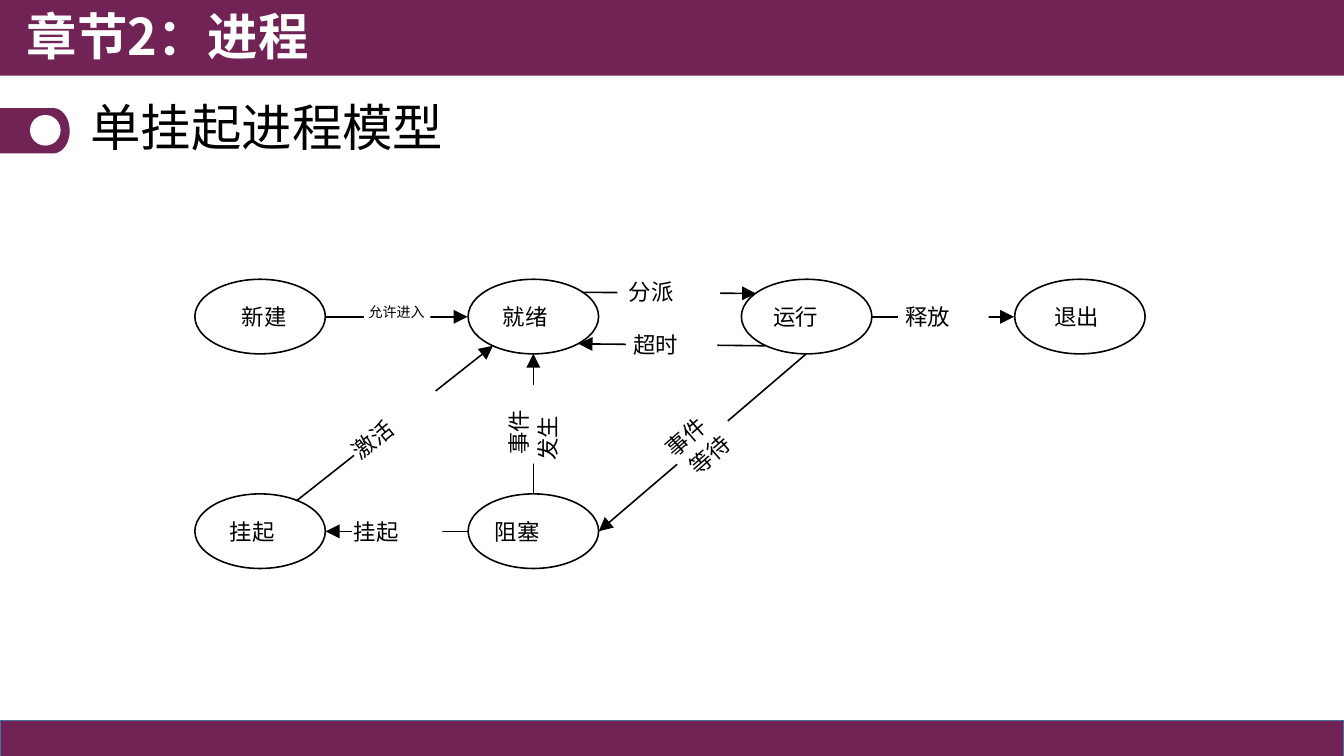
import math

import pptx
import pptx.dml.color
import pptx.enum.shapes
import pptx.enum.text
import pptx.oxml
import pptx.oxml.ns
import pptx.util

Pt = pptx.util.Pt
RGBColor = pptx.dml.color.RGBColor
SHAPE = pptx.enum.shapes.MSO_SHAPE
ANCHOR = pptx.enum.text.MSO_ANCHOR

PLUM = RGBColor(0x71, 0x23, 0x55)
BLUE = RGBColor(0x43, 0x73, 0x9E)
WHITE = RGBColor(0xFF, 0xFF, 0xFF)
BLACK = RGBColor(0, 0, 0)
FONT = "Noto Sans CJK SC"
LINE_WIDTH = 1.13

STATE_W, STATE_H = 93.2, 53.3
STATE_LEFT, STATE_STEP = 139.2, 195.2
ROW_TOPS = (199.5, 352.8)

# column, row, name, label centre
STATES = [
    (0, 0, "新建", 190.8),
    (1, 0, "就绪", 377.3),
    (2, 0, "运行", 570.2),
    (3, 0, "退出", 771.1),
    (0, 1, "挂起", 182.2),
    (1, 1, "阻塞", 371.5),
]

# arrow ends; gap centre, size, rotation; labels with centre and rotation
TRANSITIONS = [
    ((232.5, 226.3, 334, 226.3), (283.7, 226.1, 47.5, 23, 0),
     [("允许进入", 285.4, 223.9, 0, 10)]),
    ((415.4, 208.8, 540, 209.6), (477.7, 208.8, 73.5, 23, 0.8),
     [("分派", 467.3, 209.5, 0, 16)]),
    ((546.5, 247, 413.3, 245.6), (479.9, 245.9, 65.2, 23, 0.8),
     [("超时", 470.2, 247, 0, 16)]),
    ((576, 252.7, 427.7, 379.5), (501.8, 316.1, 47.5, 44.4, 319.3),
     [("事件", 491.8, 311.8, 319, 16), ("等待", 509, 324.7, 319, 16)]),
    ((381, 352.8, 381, 252.7), (380.5, 303.1, 43.9, 56.2, 0),
     [("事件", 371.5, 306.7, 270, 16), ("发生", 392.4, 311, 270, 16)]),
    ((622.8, 226.3, 724.3, 226.3), (673.9, 226.1, 64.8, 23, 0),
     [("释放", 664.6, 227.5, 0, 16)]),
    ((334, 379.6, 232.6, 379.6), (283.7, 379.4, 64.8, 23, 0),
     [("挂起", 270.7, 380.9, 0, 16)]),
    ((211.7, 357.8, 352.1, 247), (281.9, 302, 74, 23.3, 322),
     [("激活", 268.6, 313.9, 321, 16)]),
]


def paint(s, fill, line=None, width=LINE_WIDTH):
    s.shadow.inherit = False
    s.fill.solid()
    s.fill.fore_color.rgb = fill
    if line is None:
        s.line.fill.background()
    else:
        s.line.color.rgb = line
        s.line.width = Pt(width)


def add_block(slide, kind, x, y, w, h, fill, line=None, width=LINE_WIDTH):
    s = slide.shapes.add_shape(kind, Pt(x), Pt(y), Pt(w), Pt(h))
    paint(s, fill, line, width)
    return s


def add_text(slide, text, x, y, w, h, frame=None, **font):
    s = slide.shapes.add_textbox(Pt(x), Pt(y), Pt(w), Pt(h))
    tf = s.text_frame
    for name, value in {"word_wrap": True, **(frame or {})}.items():
        setattr(tf, name, value)
    p = tf.paragraphs[0]
    r = p.add_run()
    r.text = text
    color = font.pop("color", BLACK)
    for name, value in {"name": FONT, **font}.items():
        setattr(r.font, name, value)
    r.font.color.rgb = color
    ea = pptx.oxml.parse_xml(
        f'<a:ea {pptx.oxml.ns.nsdecls("a")} typeface="{FONT}"/>')
    r.font._element.append(ea)
    return s


def add_label(slide, text, cx, cy, rotation=0, size=16):
    w, h = len(text) * size + 4, size * 1.35
    margins = ("margin_left", "margin_top", "margin_right", "margin_bottom")
    s = add_text(slide, text, cx - w / 2, cy - h / 2, w, h,
                 dict.fromkeys(margins, 0), size=Pt(size))
    s.rotation = rotation


def add_state(slide, column, row, name, label_x):
    top = ROW_TOPS[row]
    add_block(slide, SHAPE.OVAL, STATE_LEFT + column * STATE_STEP, top,
              STATE_W, STATE_H, WHITE, BLACK)
    add_label(slide, name, label_x, top + STATE_H / 2 + 1.3)


def add_arrow(slide, x1, y1, x2, y2):
    s = slide.shapes.add_connector(
        pptx.enum.shapes.MSO_CONNECTOR.STRAIGHT, Pt(x1), Pt(y1), Pt(x2), Pt(y2))
    s.line.color.rgb = BLACK
    s.line.width = Pt(LINE_WIDTH)
    ns = pptx.oxml.ns.nsdecls("a")
    s.line._get_or_add_ln().append(pptx.oxml.parse_xml(
        f'<a:tailEnd {ns} type="triangle" w="lg" len="lg"/>'))
    s._element.spPr.append(pptx.oxml.parse_xml(f"<a:effectLst {ns}/>"))


def add_transition(slide, arrow, gap, labels):
    add_arrow(slide, *arrow)
    cx, cy, w, h, rotation = gap
    s = add_block(slide, SHAPE.RECTANGLE, cx - w / 2, cy - h / 2, w, h, WHITE)
    s.rotation = rotation
    for label in labels:
        add_label(slide, *label)


def add_heading_marker(slide):
    cx, cy, rx, ry = 38, 93.4, 11.8, 16.2
    arc = [(cx + rx * math.cos(a), cy + ry * math.sin(a))
           for a in (math.radians(d) for d in range(-90, 91, 10))]
    fb = slide.shapes.build_freeform(0, Pt(cy - ry))
    fb.add_line_segments([(Pt(x), Pt(y)) for x, y in arc] + [(0, Pt(cy + ry))])
    paint(fb.convert_to_shape(), PLUM)
    add_block(slide, SHAPE.OVAL, 21.4, 82.1, 21.9, 21.9, WHITE)


def main():
    prs = pptx.Presentation()
    prs.slide_width, prs.slide_height = Pt(960), Pt(540)
    slide = prs.slides.add_slide(prs.slide_layouts[6])
    add_block(slide, SHAPE.RECTANGLE, 0, 514.6, 960, 25.6, PLUM, BLUE, 1)
    add_block(slide, SHAPE.RECTANGLE, -2, 0, 962, 54, PLUM)
    add_text(slide, "章节2：进程", 12.2, 0, 480, 55.4,
             size=Pt(36), bold=True, color=WHITE)
    s = add_text(slide, "单挂起进程模型", 57.6, 62.6, 720, 61.2,
                 {"vertical_anchor": ANCHOR.MIDDLE}, size=Pt(36))
    s.text_frame.paragraphs[0].line_spacing = 0.9
    add_heading_marker(slide)
    for state in STATES:
        add_state(slide, *state)
    for transition in TRANSITIONS:
        add_transition(slide, *transition)
    prs.save("out.pptx")


if __name__ == "__main__":
    main()
